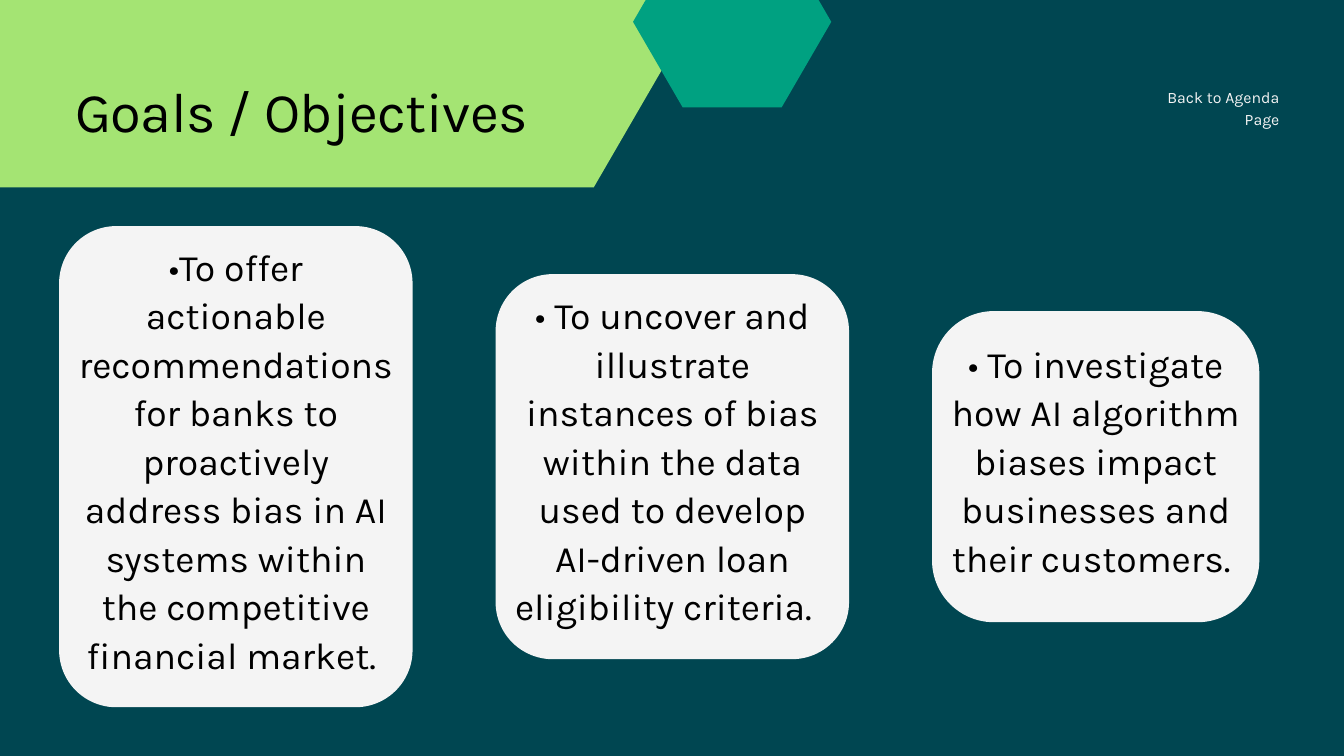
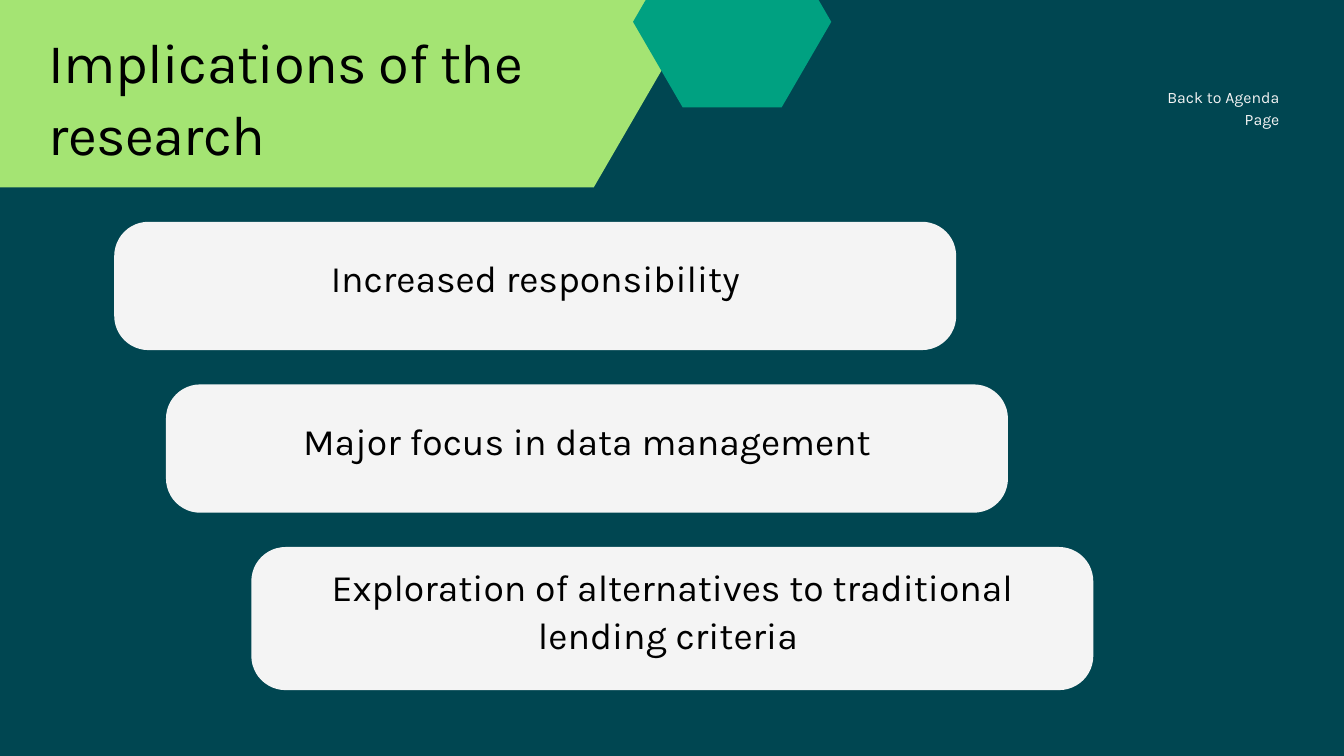
from pptx import Presentation
from pptx.dml.color import RGBColor
from pptx.enum.shapes import MSO_SHAPE
from pptx.enum.text import MSO_ANCHOR, MSO_AUTO_SIZE, PP_ALIGN
from pptx.oxml.ns import qn
from pptx.util import Inches, Pt

HEXAGON, ROUNDED = MSO_SHAPE.HEXAGON, MSO_SHAPE.ROUNDED_RECTANGLE
TOP, MIDDLE = MSO_ANCHOR.TOP, MSO_ANCHOR.MIDDLE
LEFT, CENTER, RIGHT = PP_ALIGN.LEFT, PP_ALIGN.CENTER, PP_ALIGN.RIGHT

PETROL = RGBColor(0x00, 0x46, 0x51)
LIME = RGBColor(0xA4, 0xE4, 0x73)
GREEN = RGBColor(0x00, 0xA1, 0x81)
PALE = RGBColor(0xF4, 0xF4, 0xF4)
BLACK = RGBColor(0, 0, 0)
FONT = "Karla"

TITLE_WIDTH = 7.25
HEXAGONS = [(LIME, -3.19, -4.02, 14, 6.81), (GREEN, 9.42, -0.95, 2.95, 2.55)]

# Goals: three columns of cards, all centred on one horizontal line
COLUMN_LEFT, COLUMN_STEP, CARD_MIDDLE = 0.88, 6.495, 6.945
goals = [
    ("•To offer actionable recommendations for banks to proactively address bias "
     "in AI systems within the competitive financial market. ", 5.26, 7.16, 0.85),
    ("• To uncover and illustrate instances of bias within the data used to develop "
     "AI-driven loan eligibility criteria.  ", 5.26, 5.73, 0.85),
    ("• To investigate how AI algorithm biases impact businesses and their "
     "customers.  ", 4.87, 4.63, 0.92),
]
goal_cards = [
    (text, COLUMN_LEFT + column * COLUMN_STEP, CARD_MIDDLE - height / 2, width, height, radius)
    for column, (text, width, height, radius) in enumerate(goals)
]

# Implications: wide bars stacked with equal gaps, each further to the right
BAR_WIDTH, BAR_GAP, BAR_RADIUS = 12.53, 0.51, 0.51
implications = [
    ("Increased responsibility", 1.7, 1.91),
    ("Major focus in data management", 2.47, 1.91),
    ("Exploration of alternatives to traditional lending criteria ", 3.74, 2.13),
]
implication_cards = []
bar_top = 3.3
for text, left, height in implications:
    implication_cards.append((text, left, bar_top, BAR_WIDTH, height, BAR_RADIUS))
    bar_top += height + BAR_GAP

# title, title left, title top, title height, rise of card text, cards
pages = [
    ("Goals / Objectives", 1.12, 1.05, 1.07, 0.25, goal_cards),
    ("Implications of the research", 0.72, 0.32, 2.16, 0.3, implication_cards),
]


def add_filled(shapes, kind, color, left, top, width, height, adjustment):
    shape = shapes.add_shape(kind, Inches(left), Inches(top), Inches(width), Inches(height))
    shape.adjustments[0] = adjustment
    shape.shadow.inherit = False
    shape.fill.solid()
    shape.fill.fore_color.rgb = color
    shape.line.fill.background()


def write_text(box, text, size, leading, color, alignment, anchor=TOP, inset=0):
    frame = box.text_frame
    frame.word_wrap = True
    frame.auto_size = MSO_AUTO_SIZE.NONE
    frame.vertical_anchor = anchor
    frame.margin_left = frame.margin_right = Inches(inset)
    frame.margin_top = frame.margin_bottom = Inches(inset)
    frame.text = text
    para = frame.paragraphs[0]
    para.alignment = alignment
    para.line_spacing = Pt(leading)
    para.font.name = FONT
    para.font.size = Pt(size)
    para.font.color.rgb = color


deck = Presentation()
deck.slide_width, deck.slide_height = Inches(20), Inches(11.25)
background = deck.slide_master.background.fill
background.solid()
background.fore_color.rgb = PETROL
title_only = deck.slide_layouts[5]

for heading, title_left, title_top, title_height, rise, cards in pages:
    page = deck.slides.add_slide(title_only)
    for color, left, top, width, height in HEXAGONS:
        add_filled(page.shapes, HEXAGON, color, left, top, width, height, 0.29)

    title = page.shapes.title
    title.left, title.top = Inches(title_left), Inches(title_top)
    title.width, title.height = Inches(TITLE_WIDTH), Inches(title_height)
    write_text(title, heading, 60, 78, BLACK, LEFT)
    for font in title.element.iter(qn("a:defRPr")):
        font.set("spc", "-60")
    page.shapes.element.append(title.element)  # bring the title in front of the band

    back_label = page.shapes.add_textbox(Inches(16.81), Inches(1.25), Inches(2.23), Inches(0.32))
    write_text(back_label, "Back to Agenda Page", 17, 23.8, PALE, RIGHT)

    for text, left, top, width, height, radius in cards:
        card = page.shapes.add_group_shape()
        add_filled(card.shapes, ROUNDED, PALE, left, top, width, height,
                   radius / min(width, height))
        label = card.shapes.add_textbox(Inches(left), Inches(top - rise),
                                        Inches(width), Inches(height + rise))
        write_text(label, text, 40, 52, BLACK, CENTER, MIDDLE, 0.28)

deck.save("out.pptx")
